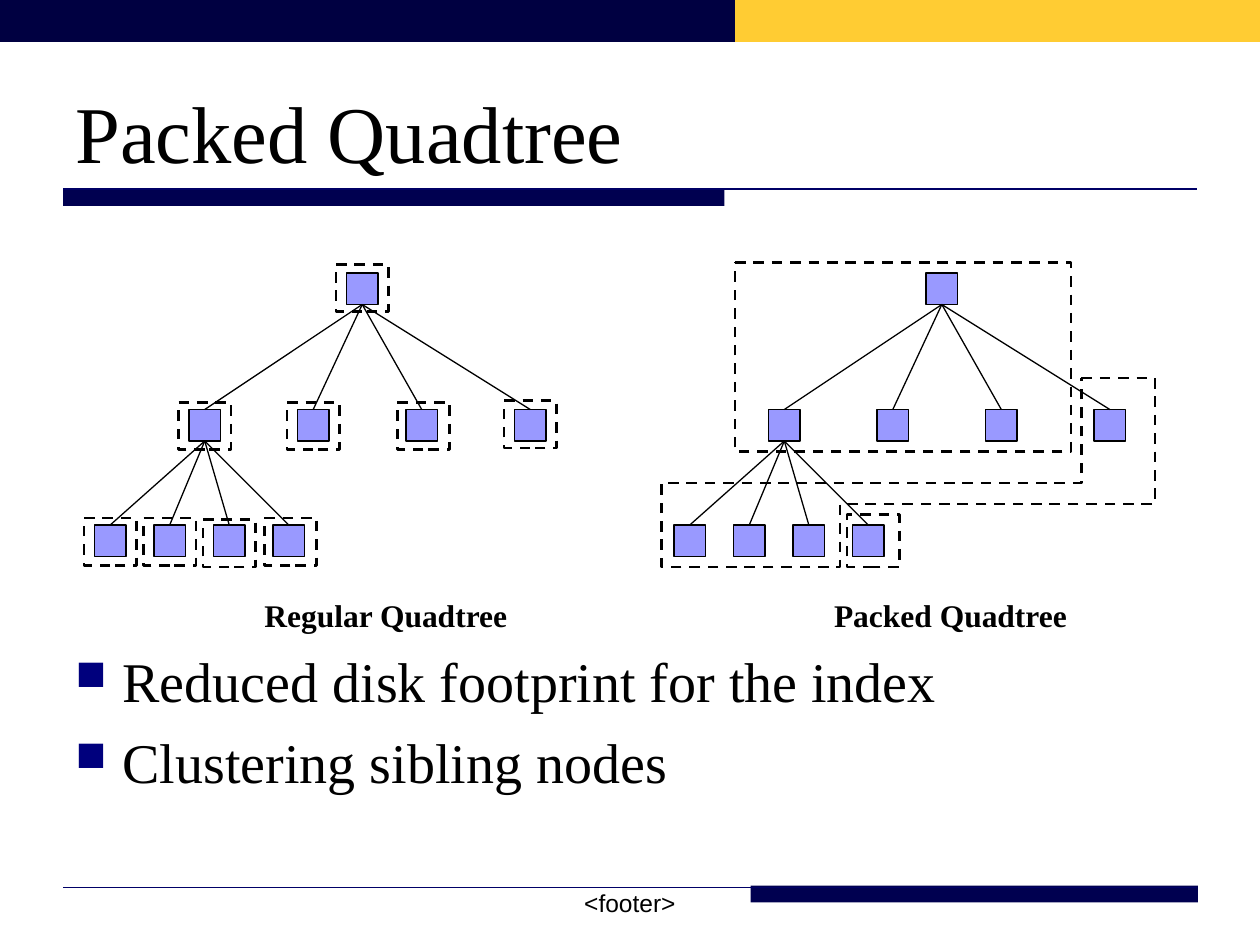
from lxml import etree
from pptx import Presentation
from pptx.dml.color import RGBColor
from pptx.enum.dml import MSO_LINE
from pptx.enum.shapes import MSO_CONNECTOR, MSO_SHAPE
from pptx.enum.text import MSO_ANCHOR, MSO_AUTO_SIZE, PP_ALIGN
from pptx.oxml.ns import qn
from pptx.util import Pt

RECT = MSO_SHAPE.RECTANGLE
STRAIGHT = MSO_CONNECTOR.STRAIGHT
DASH = MSO_LINE.DASH
LEFT, CENTER = PP_ALIGN.LEFT, PP_ALIGN.CENTER

BLACK = RGBColor(0, 0, 0)
NAVY = RGBColor(0x00, 0x00, 0x50)
DARK = RGBColor(0x00, 0x00, 0x41)
GOLD = RGBColor(0xFF, 0xCC, 0x33)
RULE = RGBColor(0x00, 0x00, 0x66)
MARK = RGBColor(0x00, 0x00, 0x7D)
LILAC = RGBColor(0x99, 0x99, 0xFF)
SERIF, SANS = "Times New Roman", "Arial"

TITLE = "Packed Quadtree"
FOOTER = "<footer>"
POINTS = ["Reduced disk footprint for the index", "Clustering sibling nodes"]

# left, top, width, height, colour
BARS = [
    (429, 506, 255.6, 9.6, NAVY),
    (408, 0, 312, 24, GOLD),
    (0, 0, 420, 24, DARK),
    (36, 108, 378, 9.6, NAVY),
]
RULES = [507, 108]

# caption, its left and width, left edge of the tree
TREES = [
    ("Regular Quadtree", 144, 153.5, 54),
    ("Packed Quadtree", 469.5, 147.5, 385.2),
]
NODE = 18
# offset from the tree's left edge, top, step between siblings, count
LEVELS = [(144, 156, 0, 1), (54, 234, 62, 4), (0, 300, 34, 4)]

FRAME = (30, 27)
FRAMES = [
    (192, 151), (102, 230), (164, 230), (227, 230), (288, 229),
    (48, 296), (82, 296), (116, 297), (151, 296),
]
PAGES = [
    [(420, 150), (612, 150), (612, 258), (420, 258)],
    [(618, 216), (660, 216), (660, 288), (480, 288),
     (480, 324), (378, 324), (378, 276), (618, 276)],
]
LAST = (484, 294, 30, 30)

deck = Presentation()
deck.slide_width, deck.slide_height = Pt(720), Pt(540)
slide = deck.slides.add_slide(deck.slide_layouts[5])
shapes = slide.shapes


def place(shape, x, y, w, h):
    shape.left, shape.top, shape.width, shape.height = Pt(x), Pt(y), Pt(w), Pt(h)


def write(shape, lines, size, face=SERIF, bold=False, align=LEFT, wrap=True):
    frame = shape.text_frame
    frame.text = "\n".join(lines)
    frame.auto_size = MSO_AUTO_SIZE.NONE
    frame.word_wrap = wrap
    for para in frame.paragraphs:
        para.alignment = align
        for run in para.runs:
            font = run.font
            font.name, font.size, font.bold = face, Pt(size), bold
            font.color.rgb = BLACK
    return frame


def label(box, lines, size, **style):
    return write(shapes.add_textbox(*map(Pt, box)), lines, size, **style)


def block(x, y, w, h, fill, edge=False):
    shape = shapes.add_shape(RECT, Pt(x), Pt(y), Pt(w), Pt(h))
    shape.shadow.inherit = False
    shape.fill.solid()
    shape.fill.fore_color.rgb = fill
    if edge:
        shape.line.color.rgb = BLACK
        shape.line.width = Pt(0.75)
    else:
        shape.line.fill.background()
    return shape


def dashed(shape):
    shape.shadow.inherit = False
    shape.fill.background()
    shape.line.color.rgb = BLACK
    shape.line.width = Pt(1.5)
    shape.line.dash_style = DASH


def frame_at(x, y, w, h):
    dashed(shapes.add_shape(RECT, Pt(x), Pt(y), Pt(w), Pt(h)))


def link(x1, y1, x2, y2, color):
    line = shapes.add_connector(STRAIGHT, Pt(x1), Pt(y1), Pt(x2), Pt(y2))
    line.line.color.rgb = color
    line.line.width = Pt(0.75)
    etree.SubElement(line._element.spPr, qn("a:effectLst"))
    return line


def bullet(para):
    props = para._p.get_or_add_pPr()
    props.set("marL", str(Pt(27)))
    props.set("indent", str(-Pt(27)))
    color = etree.SubElement(props, qn("a:buClr"))
    etree.SubElement(color, qn("a:srgbClr"), val=str(MARK))
    etree.SubElement(props, qn("a:buSzPct"), val="75000")
    etree.SubElement(props, qn("a:buChar"), char="■")


def tree(x0):
    rows = [[block(x0 + dx + i * step, y, NODE, NODE, LILAC, edge=True)
             for i in range(count)] for dx, y, step, count in LEVELS]
    for upper, lower in zip(rows, rows[1:]):
        for child in lower:
            line = link(0, 0, 0, 0, BLACK)
            line.begin_connect(upper[0], 2)
            line.end_connect(child, 0)


for bar in BARS:
    block(*bar)
for y in RULES:
    link(36, y, 684, y, RULE)

place(shapes.title, 36, 36, 648, 78)
write(shapes.title, [TITLE], 46).vertical_anchor = MSO_ANCHOR.MIDDLE
label((246, 504, 228, 19.5), [FOOTER], 14, face=SANS, align=CENTER)

body = label((36, 366, 666, 120), POINTS, 32)
for n, para in enumerate(body.paragraphs):
    bullet(para)
    if n:
        para.space_before = Pt(8)

for caption, x, w, x0 in TREES:
    label((x, 337, w, 29), [caption], 18, bold=True, wrap=False)
    tree(x0)

for spot in FRAMES:
    frame_at(*spot, *FRAME)
for start, *rest in PAGES:
    path = shapes.build_freeform(*start, scale=Pt(1))
    path.add_line_segments(rest, close=True)
    dashed(path.convert_to_shape())
frame_at(*LAST)

deck.save("out.pptx")
